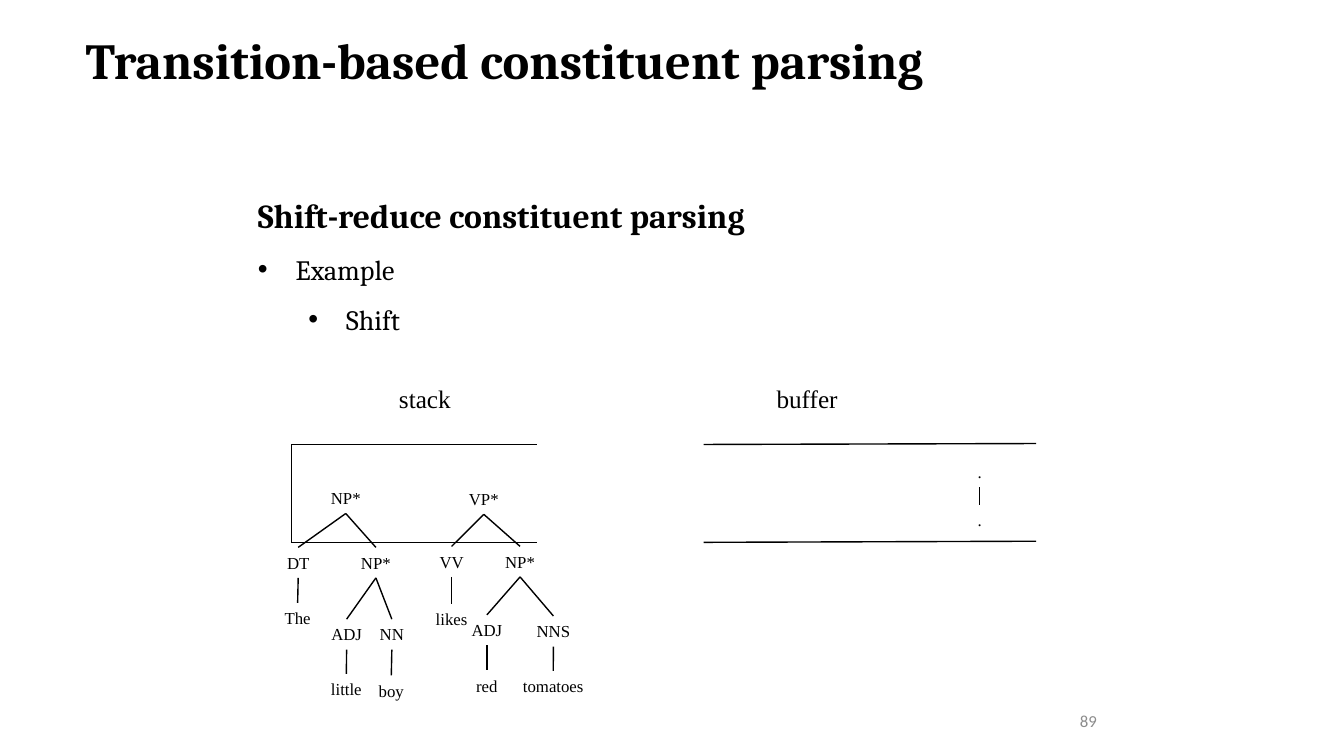
from typing import NamedTuple

from lxml.etree import SubElement
from pptx import Presentation
from pptx.dml.color import RGBColor
from pptx.enum.shapes import MSO_CONNECTOR
from pptx.enum.text import MSO_ANCHOR, MSO_AUTO_SIZE, PP_ALIGN
from pptx.oxml.ns import qn
from pptx.util import Pt

BLACK = RGBColor(0, 0, 0)
GREY = RGBColor(0x8C, 0x8C, 0x8C)
HEAD = {"name": "Cambria", "size": Pt(36), "bold": True}
TOPIC = {"name": "Cambria", "size": Pt(24), "bold": True}
ITEM = {"name": "Cambria", "size": Pt(20), "bold": False}
LABEL = {"name": "Times New Roman", "size": Pt(18)}
LEAF = {"name": "Times New Roman", "size": Pt(12)}
PAGE = {"name": "Calibri", "size": Pt(12)}
NODE_H = 21.8


class Box(NamedTuple):
    left: float
    top: float
    width: float
    height: float


class Line(NamedTuple):
    x1: float
    y1: float
    x2: float
    y2: float


class Node(NamedTuple):
    """A tree label, placed by its middle and top, with the nodes below it."""
    text: str
    mid: float
    top: float
    width: float
    kids: tuple = ()


class Point(NamedTuple):
    text: str
    font: dict
    indent: float
    level: int = 0


TREES = (
    Node("NP*", 247, 345, 36, (
        Node("DT", 213, 391, 32, (Node("The", 212.6, 430.6, 34),)),
        Node("NP*", 268.5, 391, 36, (
            Node("ADJ", 247.6, 442.3, 38, (Node("little", 247.4, 481.4, 38),)),
            Node("NN", 279.9, 442.3, 33, (Node("boy", 279.5, 482.4, 35),)),
        )),
    )),
    Node("VP*", 345.6, 345.6, 36, (
        Node("VV", 322.6, 390.3, 33, (Node("likes", 322.6, 431.3, 39),)),
        Node("NP*", 371.5, 390.3, 36, (
            Node("ADJ", 347.8, 439.2, 38, (Node("red", 347.8, 478.9, 32),)),
            Node("NNS", 395.3, 440, 40, (Node("tomatoes", 395.2, 479.2, 60),)),
        )),
    )),
    Node(".", 699.8, 326.2, 18, (Node(".", 699.8, 360.7, 18),)),
)
FRAMES = (
    Line(208.1, 317.5, 383.8, 317.5),
    Line(208.1, 387.4, 383.8, 387.4),
    Line(208.1, 317.5, 208.1, 387.4),
    Line(502.6, 317.5, 740.2, 316.8),
    Line(502.6, 387.4, 740.2, 386.6),
)
POINTS = (
    Point("Shift-reduce constituent parsing", TOPIC, 0),
    Point("Example", ITEM, 27),
    Point("Shift", ITEM, 63, 1),
)


def write(para, text: str, font: dict, color: RGBColor = BLACK) -> None:
    run = para.add_run()
    run.text = text
    for key, value in font.items():
        setattr(run.font, key, value)
    run.font.color.rgb = color


def add_box(slide, box: Box, wrap: bool = False):
    frame = slide.shapes.add_textbox(*map(Pt, box)).text_frame
    frame.word_wrap = wrap
    frame.auto_size = MSO_AUTO_SIZE.SHAPE_TO_FIT_TEXT
    return frame


def add_label(slide, text: str, box: Box, font: dict) -> None:
    para = add_box(slide, box).paragraphs[0]
    para.alignment = PP_ALIGN.CENTER
    write(para, text, font)


def add_line(slide, line: Line) -> None:
    edge = slide.shapes.add_connector(MSO_CONNECTOR.STRAIGHT, *map(Pt, line))
    edge.line.color.rgb = BLACK
    edge.line.width = Pt(1)
    SubElement(edge._element.spPr, qn("a:effectLst"))


def add_tree(slide, node: Node) -> None:
    """Draw a node, its branches and all that hangs below it."""
    box = Box(node.mid - node.width / 2, node.top, node.width, NODE_H)
    add_label(slide, node.text, box, LEAF)
    for kid in node.kids:
        add_line(slide, Line(node.mid, node.top + NODE_H, kid.mid, kid.top))
        add_tree(slide, kid)


def add_title(slide, text: str, box: Box) -> None:
    title = slide.shapes.title
    title.left, title.top, title.width, title.height = map(Pt, box)
    frame = title.text_frame
    frame.word_wrap = True
    frame.auto_size = MSO_AUTO_SIZE.SHAPE_TO_FIT_TEXT
    frame.vertical_anchor = MSO_ANCHOR.TOP
    para = frame.paragraphs[0]
    para.alignment = PP_ALIGN.LEFT
    write(para, text, HEAD)


def add_points(slide, box: Box) -> None:
    frame = add_box(slide, box, wrap=True)
    for i, point in enumerate(POINTS):
        para = frame.add_paragraph() if i else frame.paragraphs[0]
        para.level = point.level
        para.line_spacing = 1.5
        if point.indent:
            props = para._p.get_or_add_pPr()
            props.set("marL", str(Pt(point.indent)))
            props.set("indent", str(Pt(-27)))
            SubElement(props, qn("a:buFont"), typeface="Arial")
            SubElement(props, qn("a:buChar"), char="•")
        write(para, point.text, point.font)


def add_page(slide, text: str, box: Box) -> None:
    frame = add_box(slide, box, wrap=True)
    frame.auto_size = MSO_AUTO_SIZE.NONE
    frame.vertical_anchor = MSO_ANCHOR.MIDDLE
    para = frame.paragraphs[0]
    para.alignment = PP_ALIGN.RIGHT
    write(para, text, PAGE, GREY)


def main() -> None:
    deck = Presentation()
    deck.slide_width, deck.slide_height = Pt(960), Pt(540)
    slide = deck.slides.add_slide(deck.slide_layouts.get_by_name("Title Only"))
    add_title(slide, "Transition-based constituent parsing",
              Box(54, 17.3, 633, 51))
    add_points(slide, Box(177.1, 121.4, 555, 120.2))
    add_page(slide, "89", Box(628.6, 500.4, 162, 28.8))
    add_label(slide, "stack", Box(277, 270, 53, 29), LABEL)
    add_label(slide, "buffer", Box(547, 270, 59, 29), LABEL)
    for line in FRAMES:
        add_line(slide, line)
    for tree in TREES:
        add_tree(slide, tree)
    deck.save("out.pptx")


if __name__ == "__main__":
    main()
